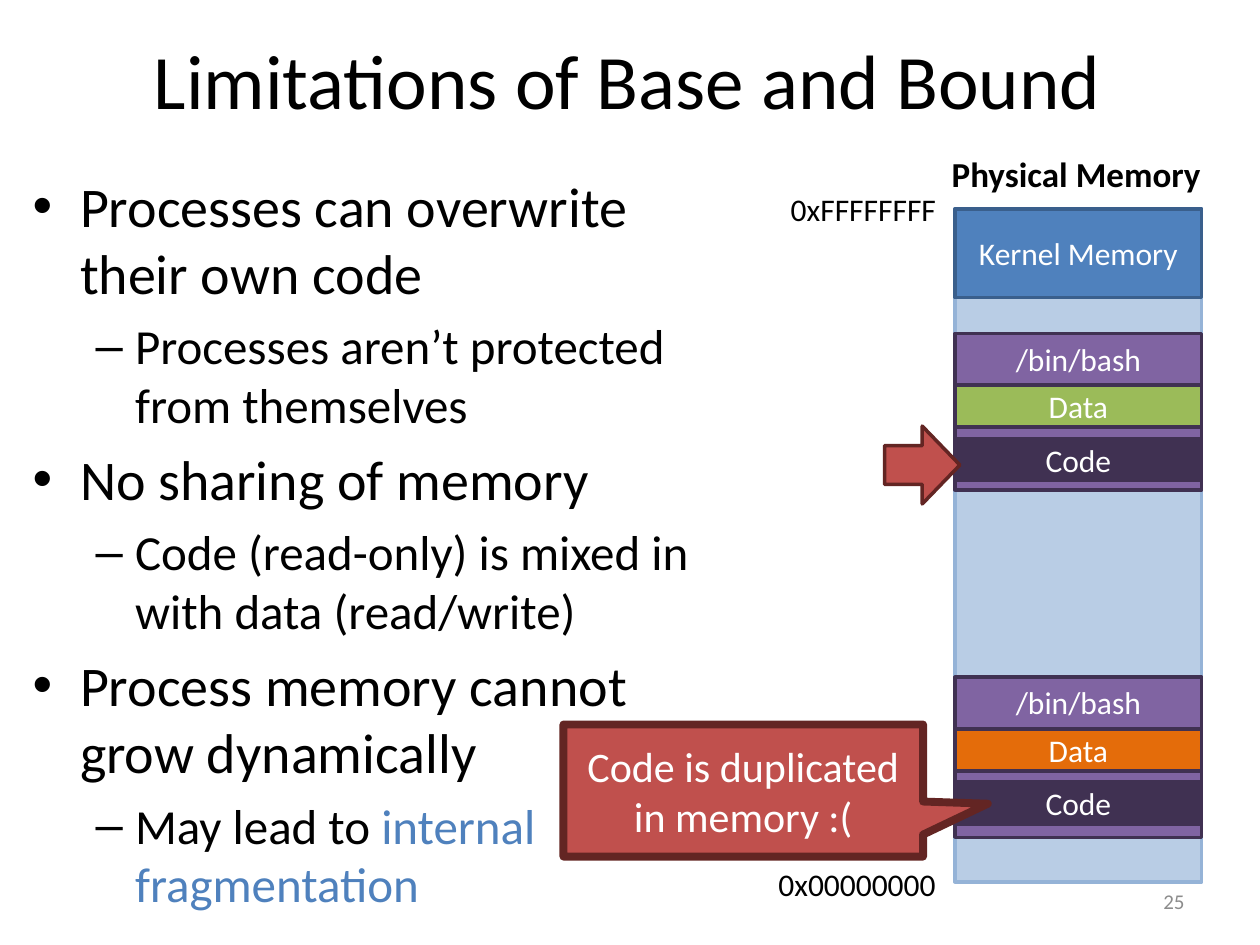
from pptx import Presentation
from pptx.dml.color import RGBColor
from pptx.enum.shapes import MSO_SHAPE
from pptx.enum.text import MSO_ANCHOR, MSO_AUTO_SIZE, PP_ALIGN
from pptx.util import Pt

BULLETS = [
    (0, ["Processes can overwrite their own code"]),
    (1, ["Processes aren’t protected from themselves"]),
    (0, ["No sharing of memory"]),
    (1, ["Code (read-only) is mixed in with data (read/write)"]),
    (0, ["Process memory cannot grow dynamically"]),
    (1, ["May lead to ", "internal fragmentation"]),
]


def color(value):
    """Turn a hex string into a colour."""
    return RGBColor.from_string(value)


def place(shape, left, top, width, height):
    """Move and size a shape in points."""
    shape.left, shape.top = Pt(left), Pt(top)
    shape.width, shape.height = Pt(width), Pt(height)


def style(paragraph, size, ink, align=None, bold=None):
    """Format one whole paragraph."""
    paragraph.alignment = align
    font = paragraph.font
    font.name, font.size, font.bold = "Calibri", Pt(size), bold
    font.color.rgb = color(ink)


def add_label(page, text, left, top, width, height, size=18, ink="000000", bold=None):
    """Add a one-line text box that fits its text."""
    box = page.shapes.add_textbox(Pt(left), Pt(top), Pt(width), Pt(height))
    box.text_frame.word_wrap = False
    box.text_frame.auto_size = MSO_AUTO_SIZE.SHAPE_TO_FIT_TEXT
    box.text_frame.text = text
    style(box.text_frame.paragraphs[0], size, ink, bold=bold)


def add_block(page, area, fill, line, text="", kind=MSO_SHAPE.RECTANGLE,
              weight=2, size=18, anchor=MSO_ANCHOR.MIDDLE):
    """Add an outlined, filled shape with centred white text."""
    shape = page.shapes.add_shape(kind, *(Pt(length) for length in area))
    shape.shadow.inherit = False
    shape.fill.solid()
    shape.fill.fore_color.rgb = color(fill)
    shape.line.color.rgb = color(line)
    shape.line.width = Pt(weight)
    if text:
        frame = shape.text_frame
        frame.word_wrap = True
        frame.vertical_anchor = anchor
        frame.text = text
        style(frame.paragraphs[0], size, "FFFFFF", PP_ALIGN.CENTER)
    return shape


def fill_title(page, left, top, width, height):
    """Write the heading."""
    title = page.shapes.title
    place(title, left, top, width, height)
    title.text_frame.text = "Limitations of Base and Bound"
    title.text_frame.auto_size = MSO_AUTO_SIZE.NONE
    title.text_frame.vertical_anchor = MSO_ANCHOR.MIDDLE
    style(title.text_frame.paragraphs[0], 44, "000000", PP_ALIGN.CENTER)


def fill_bullets(page, left, top, width, height):
    """Write the two-level list of limitations."""
    body = page.placeholders[1]
    place(body, left, top, width, height)
    frame = body.text_frame
    frame.auto_size = MSO_AUTO_SIZE.NONE
    for index, (level, texts) in enumerate(BULLETS):
        paragraph = frame.paragraphs[0] if index == 0 else frame.add_paragraph()
        paragraph.level = level
        style(paragraph, 28 if level else 32, "000000")
        for position, text in enumerate(texts):
            span = paragraph.add_run()
            span.text = text
            if position:
                span.font.color.rgb = color("4F81BD")


def draw_process(page, left, top, width, height, data_fill):
    """Draw a process with its data and code segments."""
    add_block(page, (left, top, width, height), "8064A2", "403152",
              "/bin/bash", anchor=MSO_ANCHOR.TOP)
    segment = 24
    add_block(page, (left, top + 60, width, segment), "403152", "403152", "Code")
    add_block(page, (left, top + 29.5, width, segment), data_fill, "403152", "Data")


def draw_memory(page, left, top, width, height):
    """Draw physical memory with its address labels and contents."""
    add_block(page, (left, top, width, height), "B9CDE5", "95B3D7")
    add_label(page, "0x00000000", left - 108, top + height - 13.5, 105, 29)
    add_label(page, "0xFFFFFFFF", left - 101, top - 14.5, 98, 29)
    add_label(page, "Physical Memory", left - 9, top - 36, 158.5, 31.5, 20, bold=True)
    add_block(page, (left, top, width, 50.5), "4F81BD", "3A5F8C", "Kernel Memory")
    draw_process(page, left, top + 71, width, 89.5, "9BBB59")
    draw_process(page, left, top + 267.5, width, 91.5, "E46C0A")


def draw_pointers(page, left, top):
    """Draw the callout and the arrow that point at the code segments."""
    callout = add_block(page, (left, top + 170.5, 205.5, 75.5), "C0504D", "632523",
                        "Code is duplicated in memory :(",
                        MSO_SHAPE.RECTANGULAR_CALLOUT, 4.5, 24)
    callout.adjustments[0] = 0.68
    callout.adjustments[1] = 0.1
    add_block(page, (left + 183.5, top, 43, 44.5), "C0504D", "632523",
              kind=MSO_SHAPE.RIGHT_ARROW)


def add_page_number(page, left, top, width, height):
    """Add the grey page number."""
    box = page.shapes.add_textbox(Pt(left), Pt(top), Pt(width), Pt(height))
    frame = box.text_frame
    frame.word_wrap = True
    frame.vertical_anchor = MSO_ANCHOR.MIDDLE
    frame.text = "25"
    style(frame.paragraphs[0], 12, "8C8C8C", PP_ALIGN.RIGHT)


def main():
    """Build the slide and save it."""
    deck = Presentation()
    deck.slide_width, deck.slide_height = Pt(720), Pt(540)
    page = deck.slides.add_slide(deck.slide_layouts[1])
    fill_title(page, 3.5, 0, 710.5, 90)
    fill_bullets(page, 11.5, 94.5, 399, 405.5)
    add_page_number(page, 516, 500.5, 168, 28.75)
    draw_memory(page, 545.75, 119.5, 141, 384.5)
    draw_pointers(page, 322, 243.5)
    deck.save("out.pptx")


if __name__ == "__main__":
    main()
